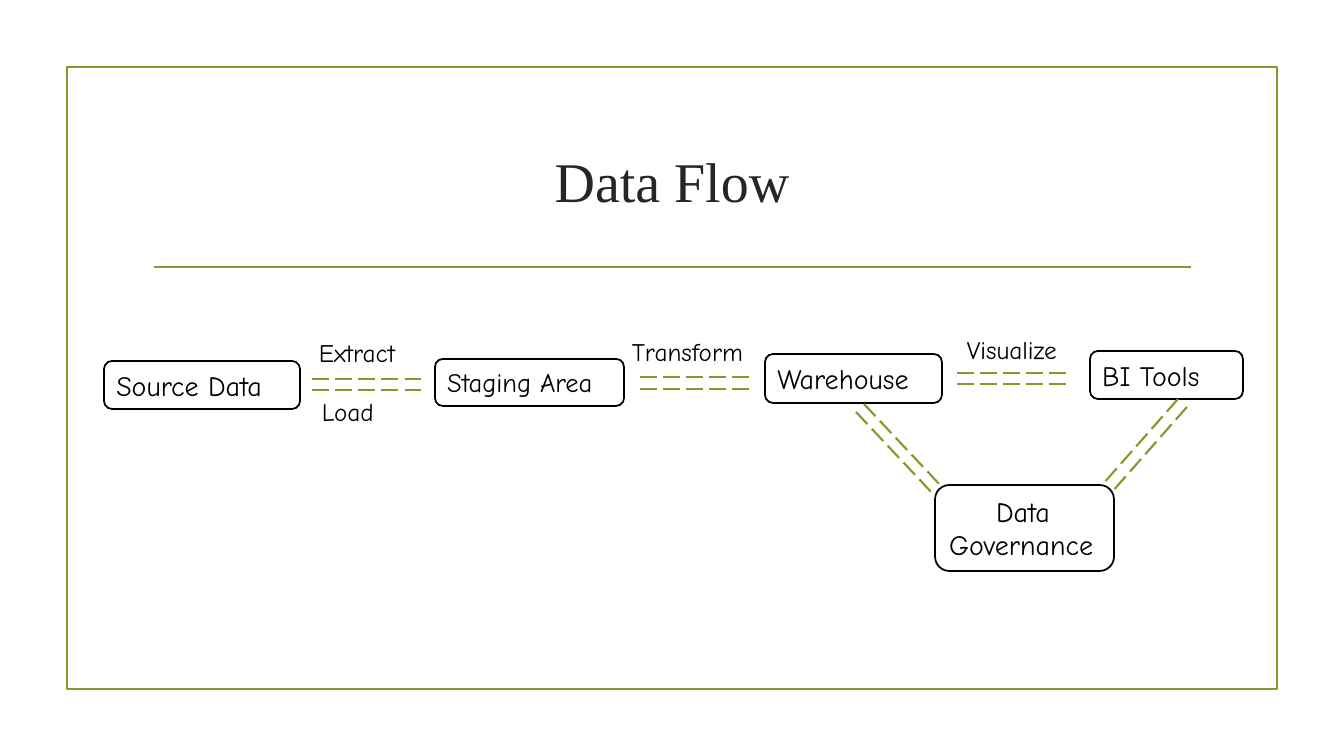
from lxml import etree
from pptx import Presentation
from pptx.dml.color import RGBColor
from pptx.enum.dml import MSO_LINE
from pptx.enum.shapes import MSO_CONNECTOR, MSO_SHAPE
from pptx.enum.text import MSO_ANCHOR, PP_ALIGN
from pptx.oxml.ns import qn
from pptx.util import Pt

# Content: lengths in px
W, H = 1344, 756
PX = 914400 / 100.8
GREEN = RGBColor(0x83, 0x99, 0x2A)
BLACK = RGBColor(0, 0, 0)
WHITE = RGBColor(0xFF, 0xFF, 0xFF)
DARK = RGBColor(0x26, 0x26, 0x26)
HAND = "Comic Neue"

TITLE = "Data Flow"
TITLE_BOX = (143, 108, 1058, 144)
FRAME = (67, 67, 1210, 622)
TITLE_RULE = (154, 267, 1191, 267)

# Box, font size, lines of (text, left indent)
STAGES = [
    ((104, 361, 196, 48), 20, [("Source Data", 0)]),
    ((435, 359, 189, 47), 19, [("Staging Area", 0)]),
    ((765, 354, 177, 49), 20, [("Warehouse", 0)]),
    ((1090, 351, 153, 48), 20, [("BI Tools", 0)]),
    ((935, 485, 179, 86), 20, [("Data", 47), ("Governance", 0)]),
]
LABELS = [
    ((309, 332, 114, 40), "Extract"),
    ((312, 391, 76, 40), "Load"),
    ((622, 331, 147, 40), "Transform"),
    ((957, 329, 124, 40), "Visualize"),
]
# Start, run of the dashed line, offset of its twin
PIPES = [
    ((312, 379), (114, 0), (0, 11)),
    ((640, 377), (114, 0), (0, 12)),
    ((957, 373), (114, 0), (0, 11)),
    ((864, 404), (78, 83), (-8, 8)),
    ((1187, 407), (-75, 85), (-9, -8)),
]


def emu(lengths):
    return [round(v * PX) for v in lengths]


def set_font(font, **values):
    font.color.rgb = values.pop("color")
    for name, value in values.items():
        setattr(font, name, value)


def add_outline(shapes, kind, box, fill=None, color=GREEN):
    sp = shapes.add_shape(kind, *emu(box))
    sp.shadow.inherit = False
    if fill is None:
        sp.fill.background()
    else:
        sp.fill.solid()
        sp.fill.fore_color.rgb = fill
    sp.line.color.rgb = color
    sp.line.width = Pt(1.25)
    return sp


def add_line(shapes, ends, width, dash=None):
    line = shapes.add_connector(MSO_CONNECTOR.STRAIGHT, *emu(ends))
    line.line.color.rgb = GREEN
    line.line.width = Pt(width)
    if dash:
        line.line.dash_style = dash
    etree.SubElement(line._element.spPr, qn("a:effectLst"))


def write(tf, lines, size):
    tf.word_wrap = True
    tf.vertical_anchor = MSO_ANCHOR.TOP
    for i, (text, indent) in enumerate(lines):
        p = tf.add_paragraph() if i else tf.paragraphs[0]
        p.alignment = PP_ALIGN.LEFT
        if indent:
            p._p.get_or_add_pPr().set("marL", str(round(indent * PX)))
        r = p.add_run()
        r.text = text
        set_font(r.font, name=HAND, size=Pt(size), color=BLACK)


def main():
    prs = Presentation()
    prs.slide_width, prs.slide_height = emu((W, H))
    slide = prs.slides.add_slide(prs.slide_layouts[5])
    shapes = slide.shapes

    # Frame and title
    add_outline(shapes, MSO_SHAPE.RECTANGLE, FRAME)
    add_line(shapes, TITLE_RULE, 1.25)
    title = shapes.title
    title.left, title.top, title.width, title.height = emu(TITLE_BOX)
    tf = title.text_frame
    tf.text = TITLE
    tf.vertical_anchor = MSO_ANCHOR.MIDDLE
    p = tf.paragraphs[0]
    p.alignment = PP_ALIGN.CENTER
    set_font(p.runs[0].font, name="Times New Roman", size=Pt(40), color=DARK)

    # Stages
    for box, size, lines in STAGES:
        sp = add_outline(shapes, MSO_SHAPE.ROUNDED_RECTANGLE, box, WHITE, BLACK)
        write(sp.text_frame, lines, size)

    # Step labels
    for box, text in LABELS:
        write(shapes.add_textbox(*emu(box)).text_frame, [(text, 0)], 18)

    # Double dashed pipes
    for (x, y), (run_x, run_y), twin in PIPES:
        for dx, dy in ((0, 0), twin):
            ends = (x + dx, y + dy, x + dx + run_x, y + dy + run_y)
            add_line(shapes, ends, 1.5, MSO_LINE.LONG_DASH)

    prs.save("out.pptx")


if __name__ == "__main__":
    main()
